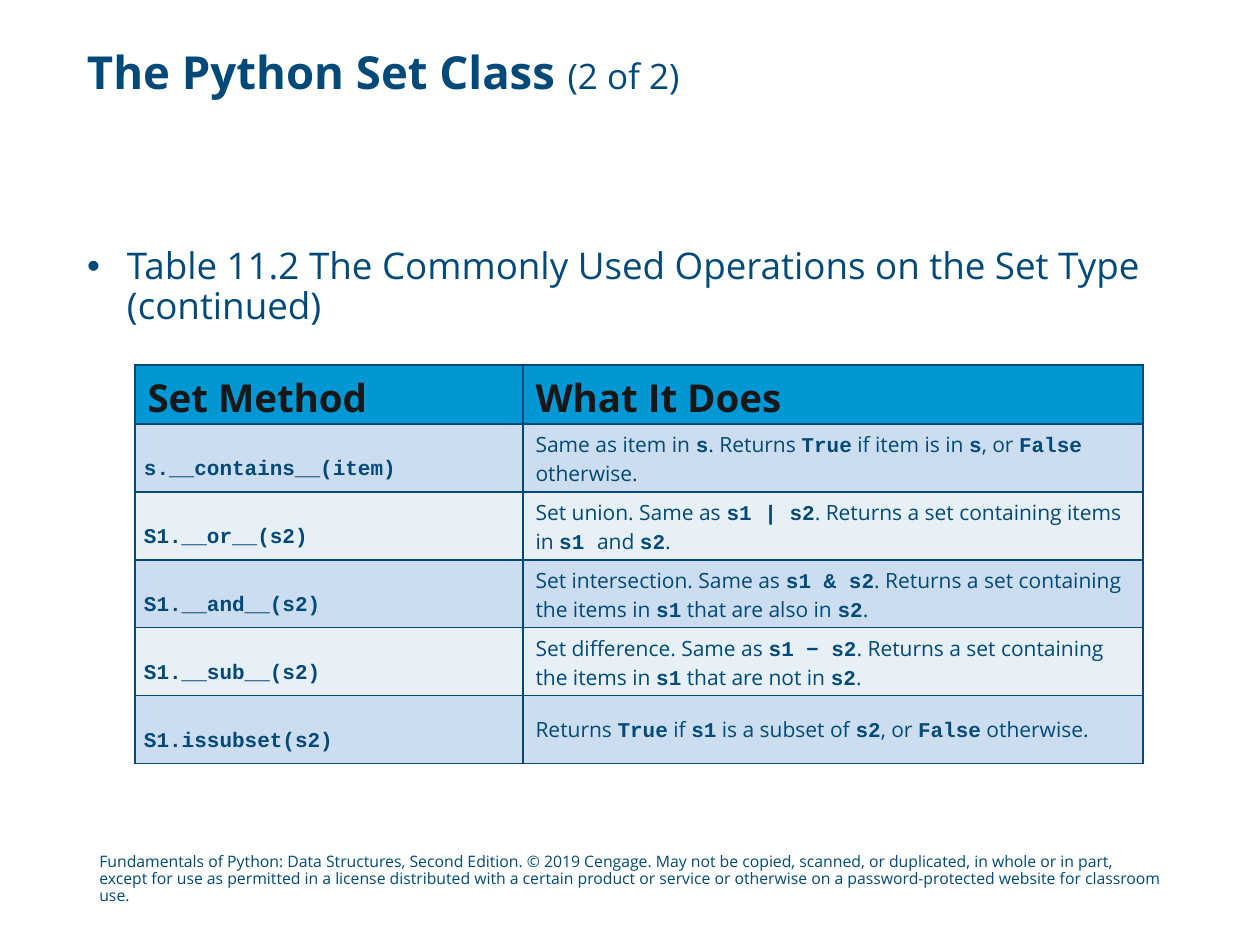
import pptx
import pptx.util
import pptx.dml.color
import pptx.enum.text
import pptx.oxml
import pptx.oxml.ns

PX = 914400 // 126
NAVY, BLUE, BLACK = "004978", "0098D4", "181717"
BANDS = ["CCDDEF", "E7EFF7"]
SANS, MONO = "Open Sans", "Courier New"
DRAW = pptx.oxml.ns.nsdecls("a")


def rgb(code):
    return pptx.dml.color.RGBColor.from_string(code)


def write(frame, text, size=12, color=NAVY, font=SANS, bold=False, space=None):
    """Fill a text frame; parts between backticks are bold code."""
    frame.word_wrap = True
    para = frame.paragraphs[0]
    para.line_spacing = space
    for i, part in enumerate(text.split("`")):
        if not part:
            continue
        run = para.add_run()
        run.text = part
        code, minus = i % 2 == 1, part == "−"
        run.font.name = MONO if code else "Arial" if minus else font
        run.font.bold = bold or code or minus
        run.font.size = pptx.util.Pt(size)
        run.font.color.rgb = rgb(color)
    return para


deck = pptx.Presentation()
deck.slide_width, deck.slide_height = 1260 * PX, 945 * PX
slide = deck.slides.add_slide(deck.slide_layouts[6])
shapes = slide.shapes

# Title
frame = shapes.add_textbox(87 * PX, 50 * PX, 1086 * PX, 76 * PX).text_frame
frame.margin_left = frame.margin_right = frame.margin_top = frame.margin_bottom = 0
para = write(frame, "The Python Set Class ", size=26, bold=True, space=0.9)
write(frame, "(2 of 2)", size=20, space=0.9)

# Bullet line
frame = shapes.add_textbox(87 * PX, 248 * PX, 1121 * PX, 93 * PX).text_frame
frame.margin_left = frame.margin_right = frame.margin_top = frame.margin_bottom = 0
para = write(frame, "Table 11.2 The Commonly Used Operations on the Set Type (continued)",
             size=21, space=0.9)
props = para._p.get_or_add_pPr()
props.set("marL", str(40 * PX))
props.set("indent", str(-40 * PX))
props.append(pptx.oxml.parse_xml(f'<a:buFont {DRAW} typeface="Arial"/>'))
props.append(pptx.oxml.parse_xml(f'<a:buChar {DRAW} char="•"/>'))

# Table of set methods
rows = [
    ("Set Method", "What It Does"),
    ("s.__contains__(item)",
     "Same as item in `s`. Returns `True` if item is in `s`, or `False` otherwise."),
    ("S1.__or__(s2)",
     "Set union. Same as `s1 | s2`. Returns a set containing items in `s1 `and `s2`."),
    ("S1.__and__(s2)",
     "Set intersection. Same as `s1 & s2`. Returns a set containing the items in `s1`"
     " that are also in `s2`."),
    ("S1.__sub__(s2)",
     "Set difference. Same as `s1 `−` s2`. Returns a set containing the items in `s1`"
     " that are not in `s2`."),
    ("S1.issubset(s2)",
     "Returns `True` if `s1` is a subset of `s2`, or `False` otherwise."),
]
table = shapes.add_table(len(rows), 2, 135 * PX, 365 * PX, 1008 * PX, 395 * PX).table
table.horz_banding = table.first_row = False
table.columns[0].width, table.columns[1].width = 388 * PX, 620 * PX

for r, row in enumerate(rows):
    table.rows[r].height = (68 if r else 55) * PX
    for c, text in enumerate(row):
        cell = table.cell(r, c)
        cell.vertical_anchor = pptx.enum.text.MSO_ANCHOR.MIDDLE
        if r == 0:
            write(cell.text_frame, text, size=22, color=BLACK, bold=True)
        elif c == 0:
            cell.margin_left = cell.margin_right = 9 * PX
            cell.margin_top = cell.margin_bottom = 0
            write(cell.text_frame, text, font=MONO, bold=True, space=2.0)
        else:
            write(cell.text_frame, text)
        # Borders go before the fill in the cell's properties
        for side in ("lnL", "lnR", "lnT", "lnB"):
            cell._tc.get_or_add_tcPr().append(pptx.oxml.parse_xml(
                f'<a:{side} {DRAW} w="12700"><a:solidFill><a:srgbClr val="{NAVY}"/>'
                f'</a:solidFill></a:{side}>'))
        cell.fill.solid()
        cell.fill.fore_color.rgb = rgb(BANDS[(r - 1) % 2] if r else BLUE)

# Copyright line
frame = shapes.add_textbox(87 * PX, 848 * PX, 1086 * PX, 50 * PX).text_frame
write(frame, "Fundamentals of Python: Data Structures, Second Edition. © 2019 Cengage. "
      "May not be copied, scanned, or duplicated, in whole or in part, except for use as "
      "permitted in a license distributed with a certain product or service or otherwise "
      "on a password-protected website for classroom use.", size=9, space=0.9)

deck.save("out.pptx")
